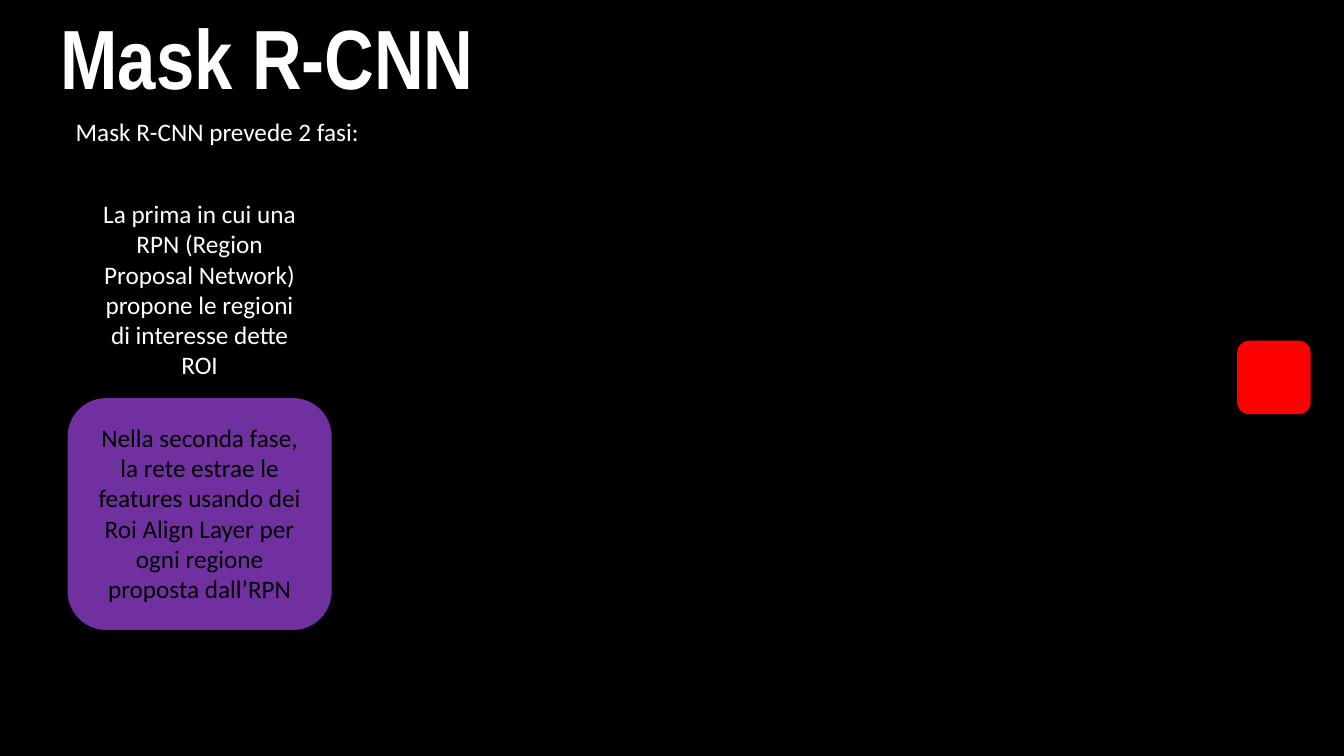
from dataclasses import dataclass

from pptx import Presentation, util as u
from pptx.dml.color import RGBColor
from pptx.enum import shapes, text


@dataclass(frozen=True)
class Theme:
    """Colours, fonts and type sizes of the slide."""
    black: RGBColor = RGBColor(0, 0, 0)
    white: RGBColor = RGBColor(255, 255, 255)
    red: RGBColor = RGBColor(255, 0, 0)
    purple: RGBColor = RGBColor(0x70, 0x30, 0xA0)
    title_font: str = "Arial Narrow"
    body_font: str = "Calibri"
    title_size: int = 60
    body_size: int = 18


THEME = Theme()


def place(sp, box):
    """Move a shape to a box given in inches."""
    sp.left, sp.top, sp.width, sp.height = map(u.Inches, box)


def write(sp, words, font, size, color, align, bold=False):
    """Fill a shape with one formatted paragraph."""
    tf = sp.text_frame
    tf.text = words
    tf.word_wrap = True
    tf.auto_size = text.MSO_AUTO_SIZE.NONE
    tf.vertical_anchor = text.MSO_ANCHOR.TOP
    p = tf.paragraphs[0]
    p.alignment = align
    p.line_spacing = 1.0
    r = p.runs[0]
    r.font.name, r.font.size, r.font.bold = font, u.Pt(size), bold
    r.font.color.rgb = color


def add_title(s, box, words):
    """Place and format the title placeholder."""
    sp = s.shapes.title
    place(sp, box)
    write(sp, words, THEME.title_font, THEME.title_size, THEME.white,
          text.PP_ALIGN.LEFT, bold=True)


def add_body(s, box, words, color=THEME.white):
    """Add a centred body text box."""
    sp = s.shapes.add_textbox(*map(u.Inches, box))
    write(sp, words, THEME.body_font, THEME.body_size, color, text.PP_ALIGN.CENTER)


def add_panel(s, box, color):
    """Add a plain rounded panel."""
    sp = s.shapes.add_shape(shapes.MSO_SHAPE.ROUNDED_RECTANGLE, *map(u.Inches, box))
    sp.shadow.inherit = False
    sp.fill.solid()
    sp.fill.fore_color.rgb = color
    sp.line.fill.background()


def add_phases(s, box):
    """Add the two phases, the second one on a purple panel."""
    left, top, width, height = box
    inset, text_height, panel_height = 0.16, 1.92, 2.3
    text_left, text_width = left + inset, width - 2 * inset
    panel_top = top + height - panel_height
    add_panel(s, (left, panel_top, width, panel_height), THEME.purple)
    add_body(s, (text_left, top, text_width, text_height),
             "La prima in cui una RPN (Region Proposal Network) propone "
             "le regioni di interesse dette ROI")
    add_body(s, (text_left, panel_top + 0.19, text_width, text_height),
             "Nella seconda fase, la rete estrae le features usando dei "
             "Roi Align Layer per ogni regione proposta dall’RPN", THEME.black)


def main():
    """Build and save the slide."""
    prs = Presentation()
    prs.slide_width, prs.slide_height = u.Inches(13.33), u.Inches(7.5)
    s = prs.slides.add_slide(prs.slide_layouts[5])
    s.background.fill.solid()
    s.background.fill.fore_color.rgb = THEME.black
    add_title(s, (0.5, 0, 12.14, 1.11), "Mask R-CNN")
    add_body(s, (0.5, 1.11, 3.31, 0.4), "Mask R-CNN prevede 2 fasi:")
    add_phases(s, (0.67, 1.92, 2.62, 4.33))
    add_panel(s, (12.27, 3.38, 0.73, 0.73), THEME.red)
    prs.save("out.pptx")


if __name__ == "__main__":
    main()
